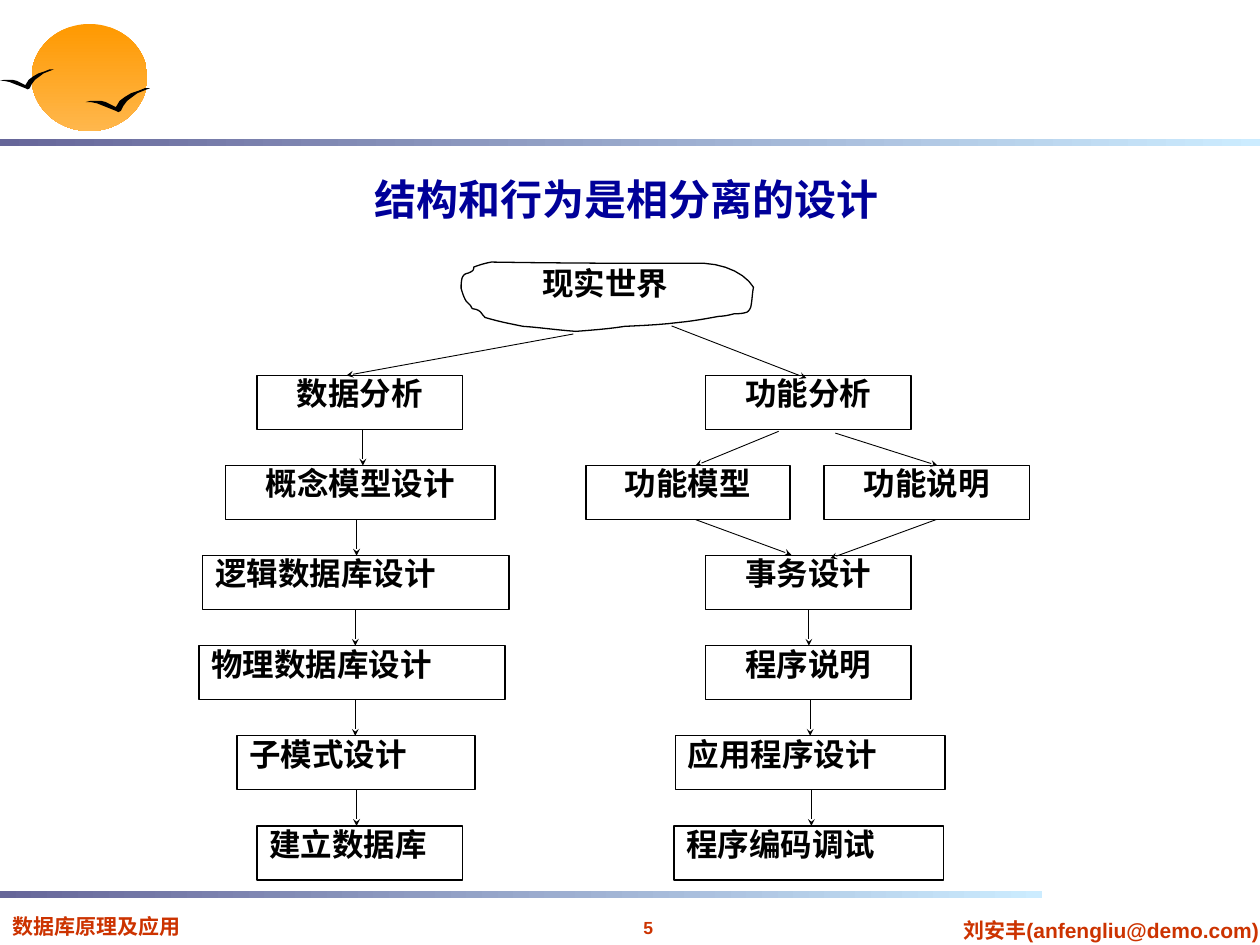
"""Build the slide on designing structure and behaviour separately."""
from dataclasses import dataclass
from typing import NamedTuple

from lxml.etree import SubElement
from pptx import Presentation
from pptx.dml.color import RGBColor
from pptx.enum.shapes import MSO_CONNECTOR as Connector, MSO_SHAPE as Preset
from pptx.enum.text import MSO_ANCHOR as Anchor, MSO_AUTO_SIZE as AutoSize, PP_ALIGN as Align
from pptx.oxml.ns import qn
from pptx.util import Inches, Pt


@dataclass(frozen=True)
class Theme:
    """Colours, fonts and sizes."""
    title: str = "000099"
    footer: str = "CC3300"
    ink: str = "000000"
    sun: tuple = ("FF9900", "FFB74C")
    bar: tuple = ("666699", "CCECFF")
    sans: str = "Arial"
    serif: str = "Times New Roman"
    title_size: float = 24
    box_size: float = 18
    footer_size: float = 12
    number_size: float = 10
    box_line: float = 0.75
    arrow_line: float = 0.5


class Area(NamedTuple):
    """A rectangle in inches."""
    left: float
    top: float
    width: float
    height: float


class Step(NamedTuple):
    """A box: its text, left column, row, width in columns and alignment."""
    text: str
    column: float
    row: int
    width: float
    align: Align = Align.CENTER


class Arrow(NamedTuple):
    """An arrow between two grid points."""
    column: float
    row: float
    end_column: float
    end_row: float
    width: float = Theme.arrow_line


THEME = Theme()
COLUMN, ROW, FIRST_ROW, BOX_ROWS = 0.1, 0.715, 2.98, 0.6

STEPS = [
    Step("数据分析", 20.4, 0, 16.3),
    Step("概念模型设计", 17.9, 1, 21.4),
    Step("逻辑数据库设计", 16.1, 2, 24.3, Align.JUSTIFY),
    Step("物理数据库设计", 15.8, 3, 24.3, Align.JUSTIFY),
    Step("子模式设计", 18.8, 4, 18.9, Align.JUSTIFY),
    Step("建立数据库", 20.4, 5, 16.3, Align.JUSTIFY),
    Step("功能分析", 56, 0, 16.3),
    Step("功能模型", 46.5, 1, 16.2),
    Step("功能说明", 65.4, 1, 16.3),
    Step("事务设计", 56, 2, 16.3),
    Step("程序说明", 56, 3, 16.3),
    Step("应用程序设计", 53.6, 4, 21.4, Align.JUSTIFY),
    Step("程序编码调试", 53.5, 5, 21.4, Align.JUSTIFY),
]
DOWN_ARROWS = [(28.8, 0), (28.3, 1), (28.2, 2), (28.2, 3), (28.3, 4), (64.2, 2), (64.3, 3)]
ARROWS = [Arrow(column, row + BOX_ROWS, column, row + 1) for column, row in DOWN_ARROWS] + [
    Arrow(64.4, 4 + BOX_ROWS, 64.4, 5, THEME.box_line),
    Arrow(45.5, -0.46, 27.5, 0),
    Arrow(53.3, -0.55, 64, 0.03),
    Arrow(61.8, 0.62, 55.2, 1),
    Arrow(66.3, 0.64, 74.4, 1),
    Arrow(55.2, 1.6, 62.8, 1.99),
    Arrow(74.3, 1.6, 65.9, 2.03),
]

BIRD_SIZE = (51, 19)
BIRD = [(0, 11), (4, 10), (8, 10), (12, 10), (16, 11), (20, 13), (24, 15), (27, 10), (31, 7),
        (36, 4), (42, 2), (47, 0), (51, 0), (46, 2), (41, 4), (37, 7), (33, 10), (30, 14),
        (28, 18), (26, 19), (24, 18), (19, 16), (14, 14), (9, 12), (4, 11)]
BIRD_AREAS = [Area(0, 0.55, 0.43, 0.16), Area(0.68, 0.7, 0.51, 0.19)]

CLOUD_START = (3.76, 2.12)
CLOUD = [
    (3.81, 2.1, 3.85, 2.09, 3.9, 2.08), (4.46, 2.09, 5.03, 2.09, 5.59, 2.09),
    (5.77, 2.1, 5.92, 2.18, 5.98, 2.28), (5.97, 2.33, 5.97, 2.38, 5.96, 2.43),
    (5.96, 2.44, 5.94, 2.48, 5.92, 2.48), (5.89, 2.49, 5.86, 2.49, 5.83, 2.49),
    (5.79, 2.5, 5.75, 2.51, 5.71, 2.51), (5.6, 2.53, 5.49, 2.55, 5.38, 2.56),
    (5.24, 2.58, 4.96, 2.59, 4.96, 2.59), (4.84, 2.61, 4.7, 2.62, 4.57, 2.63),
    (4.43, 2.62, 4.29, 2.6, 4.15, 2.59), (4.05, 2.57, 3.95, 2.55, 3.85, 2.52),
    (3.81, 2.48, 3.82, 2.46, 3.75, 2.45), (3.74, 2.44, 3.74, 2.43, 3.73, 2.42),
    (3.72, 2.41, 3.71, 2.4, 3.7, 2.39), (3.68, 2.36, 3.67, 2.32, 3.66, 2.29),
    (3.66, 2.26, 3.66, 2.23, 3.67, 2.2), (3.69, 2.16, 3.71, 2.18, 3.75, 2.15),
    (3.76, 2.14, 3.76, 2.13, 3.76, 2.12),
]


def emu(area: Area) -> list:
    """Convert an area to slide lengths."""
    return [Inches(length) for length in area]


def grid_point(column: float, row: float) -> tuple:
    """Give the inches of a grid point."""
    return column * COLUMN, FIRST_ROW + row * ROW


def write(shape, text: str, *, size: float, color: str, font: str = THEME.sans,
          align: Align = Align.CENTER, wrap: bool = True, spacing: float = 1.0) -> None:
    """Put one bold formatted paragraph in a shape."""
    frame = shape.text_frame
    frame.auto_size = AutoSize.NONE
    frame.word_wrap = wrap
    frame.vertical_anchor = Anchor.TOP
    paragraph = frame.paragraphs[0]
    paragraph.text = text
    paragraph.alignment = align
    paragraph.line_spacing = spacing
    paragraph.font.name = font
    paragraph.font.size = Pt(size)
    paragraph.font.bold = True
    paragraph.font.color.rgb = RGBColor.from_string(color)


def outline(shape, width: float = THEME.box_line) -> None:
    """Leave a shape unfilled with an ink line."""
    shape.shadow.inherit = False
    shape.fill.background()
    shape.line.color.rgb = RGBColor.from_string(THEME.ink)
    shape.line.width = Pt(width)


def draw_gradient(slide, preset: Preset, area: Area, colors: tuple, angle: float) -> None:
    """Draw a preset shape with a two-colour gradient."""
    shape = slide.shapes.add_shape(preset, *emu(area))
    shape.shadow.inherit = False
    shape.line.fill.background()
    shape.fill.gradient()
    shape.fill.gradient_angle = angle
    for stop, color in zip(shape.fill.gradient_stops, colors):
        stop.color.rgb = RGBColor.from_string(color)


def draw_polygon(slide, points: list):
    """Draw a closed outline through points in inches."""
    start, *others = [(Inches(x), Inches(y)) for x, y in points]
    builder = slide.shapes.build_freeform(*start)
    builder.add_line_segments(others, close=True)
    return builder.convert_to_shape()


def draw_bird(slide, area: Area) -> None:
    """Draw a flying bird stretched over an area."""
    width, height = BIRD_SIZE
    bird = draw_polygon(slide, [(area.left + x / width * area.width,
                                 area.top + y / height * area.height) for x, y in BIRD])
    bird.shadow.inherit = False
    bird.fill.solid()
    bird.fill.fore_color.rgb = RGBColor.from_string(THEME.ink)
    bird.line.fill.background()


def cloud_points(steps: int = 6) -> list:
    """Sample the cubic curves of the cloud."""
    points = [CLOUD_START]
    for x1, y1, x2, y2, x3, y3 in CLOUD:
        x0, y0 = points[-1]
        for t in (step / steps for step in range(1, steps + 1)):
            a, b, c, d = (1 - t) ** 3, 3 * t * (1 - t) ** 2, 3 * t * t * (1 - t), t ** 3
            points.append((a * x0 + b * x1 + c * x2 + d * x3, a * y0 + b * y1 + c * y2 + d * y3))
    return points


def draw_step(slide, step: Step) -> None:
    """Draw one box of the flow."""
    area = Area(*grid_point(step.column, step.row), step.width * COLUMN, BOX_ROWS * ROW)
    box = slide.shapes.add_shape(Preset.RECTANGLE, *emu(area))
    outline(box)
    write(box, step.text, size=THEME.box_size, color=THEME.ink, font=THEME.serif,
          align=step.align, spacing=0.8)


def draw_arrow(slide, arrow: Arrow) -> None:
    """Draw one arrow of the flow."""
    ends = grid_point(arrow.column, arrow.row) + grid_point(arrow.end_column, arrow.end_row)
    connector = slide.shapes.add_connector(Connector.STRAIGHT, *map(Inches, ends))
    connector.line.color.rgb = RGBColor.from_string(THEME.ink)
    connector.line.width = Pt(arrow.width)
    SubElement(connector.line._get_or_add_ln(), qn("a:tailEnd"), type="stealth", w="sm", len="sm")
    SubElement(connector._element.spPr, qn("a:effectLst"))


def add_text(slide, area: Area, text: str, **style) -> None:
    """Add a text box with formatted text."""
    write(slide.shapes.add_textbox(*emu(area)), text, **style)


def main() -> None:
    """Build and save the presentation."""
    presentation = Presentation()
    presentation.slide_width, presentation.slide_height = Inches(10), Inches(7.5)
    slide = presentation.slides.add_slide(presentation.slide_layouts[5])
    draw_gradient(slide, Preset.OVAL, Area(0.25, 0.19, 0.92, 0.85), THEME.sun, 270)
    for area in BIRD_AREAS:
        draw_bird(slide, area)
    footer = {"size": THEME.footer_size, "color": THEME.footer}
    add_text(slide, Area(7.56, 7.23, 2.52, 0.3), "刘安丰(anfengliu@demo.com)", wrap=False, **footer)
    add_text(slide, Area(4.71, 7.23, 0.87, 0.27), "5", size=THEME.number_size, color=THEME.footer)
    add_text(slide, Area(0, 7.2, 2, 0.3), "数据库原理及应用", align=Align.LEFT, **footer)
    for top, width in ((1.1, 10), (7.07, 8.27)):
        draw_gradient(slide, Preset.RECTANGLE, Area(0, top, width, 0.06), THEME.bar, 0)
    outline(draw_polygon(slide, cloud_points()))
    add_text(slide, Area(4.02, 2.1, 1.57, 0.51), "现实世界", size=THEME.box_size,
             color=THEME.ink, font=THEME.serif, spacing=0.8)
    for step in STEPS:
        draw_step(slide, step)
    for arrow in ARROWS:
        draw_arrow(slide, arrow)
    title = slide.shapes.title
    title.left, title.top, title.width, title.height = emu(Area(2.77, 1.33, 4.4, 0.5))
    write(title, "结构和行为是相分离的设计", size=THEME.title_size, color=THEME.title)
    presentation.save("out.pptx")


if __name__ == "__main__":
    main()
